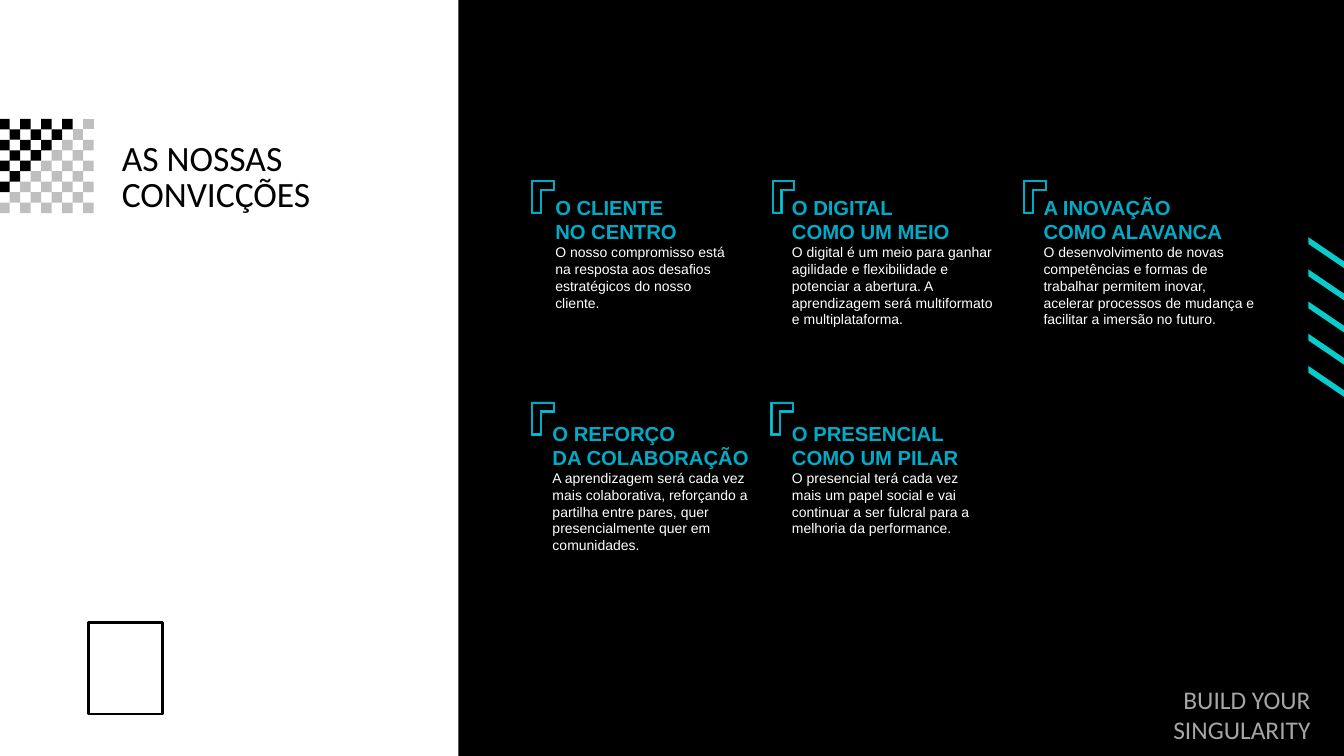
import pptx
import pptx.dml.color
import pptx.enum.shapes
import pptx.enum.text
import pptx.util

Pt = pptx.util.Pt
align = pptx.enum.text.PP_ALIGN

deck = pptx.Presentation()
deck.slide_width = Pt(1058.4)
deck.slide_height = Pt(595.44)
page = deck.slides.add_slide(deck.slide_layouts[6])


def paint(target, fill, line=None, weight=0.75):
    target.shadow.inherit = False
    target.fill.solid()
    target.fill.fore_color.rgb = pptx.dml.color.RGBColor.from_string(fill)
    if line:
        target.line.color.rgb = pptx.dml.color.RGBColor.from_string(line)
        target.line.width = Pt(weight)
    else:
        target.line.fill.background()


def write(left, top, width, height, lines):
    box = page.shapes.add_textbox(Pt(left), Pt(top), Pt(width), Pt(height))
    frame = box.text_frame
    frame.word_wrap = True
    frame.auto_size = pptx.enum.text.MSO_AUTO_SIZE.SHAPE_TO_FIT_TEXT
    for index, (text, style, layout) in enumerate(lines):
        para = frame.paragraphs[0] if index == 0 else frame.add_paragraph()
        for name, value in layout.items():
            setattr(para, name, value)
        span = para.add_run()
        span.text = text
        for name, value in style.items():
            if name == "color":
                span.font.color.rgb = pptx.dml.color.RGBColor.from_string(value)
            else:
                setattr(span.font, name, value)


panel = page.shapes.add_shape(
    pptx.enum.shapes.MSO_SHAPE.RECTANGLE, Pt(361), 0, Pt(697.4), Pt(595.44))
paint(panel, "000000")

outlines = []

cell = 8.25
checker_left, checker_top = -0.6, 93.6
checker_parts = {}
for row in range(9):
    for column in range(row % 2, 9, 2):
        left = checker_left + column * cell
        top = checker_top + row * cell
        square = [(left, top), (left + cell, top),
                  (left + cell, top + cell), (left, top + cell)]
        band = min(row, 3)
        if column < 2:
            band = 0 if row < 2 else 4
        fill = "000000" if row + column <= 6 else "BFBFBF"
        checker_parts.setdefault((band, fill), []).append(square)
for (band, fill), squares in checker_parts.items():
    outlines.append((squares, fill, None))

stripes = []
for index in range(5):
    top = 186.8 + index * 25.35
    stripes.append([(1030.3, top), (1030.3, top + 5.3),
                    (1098.6, top + 51.7), (1098.6, top + 46.4)])
outlines.append((stripes, "08CCCB", None))

bracket_outer = [(0, 0), (18, 0), (18, 8), (8, 8), (8, 26), (0, 26)]
bracket_inner = [(1, 1), (17, 1), (17, 7), (7, 7), (7, 25), (1, 25)]
for left, top in [(418.6, 142), (608, 142), (806, 142), (418.6, 316.6), (607, 316.6)]:
    bracket = [[(left + x, top + y) for x, y in contour]
               for contour in (bracket_outer, bracket_inner)]
    outlines.append((bracket, "08CCCB", "00ABC7"))

for contours, fill, line in outlines:
    first_x, first_y = contours[0][0]
    builder = page.shapes.build_freeform(Pt(first_x), Pt(first_y), 1)
    for contour in contours:
        points = [(Pt(x), Pt(y)) for x, y in contour]
        if contour is not contours[0]:
            builder.move_to(*points[0])
        builder.add_line_segments(points[1:], close=True)
    paint(builder.convert_to_shape(), fill, line)

emblem = page.shapes.add_shape(
    pptx.enum.shapes.MSO_SHAPE.RECTANGLE, Pt(69.8), Pt(490.3), Pt(58.3), Pt(72))
paint(emblem, "FFFFFF", "000000", 2)

title_style = {"size": Pt(28), "name": "Calibri", "color": "000000"}
footer_style = {"size": Pt(20), "name": "Calibri", "color": "A6A6A6"}
heading_style = {"size": Pt(16), "name": "Arial", "bold": True, "color": "00ABC7"}
body_style = {"size": Pt(11), "name": "Arial", "bold": False, "color": "FFFFFF"}

title_layout = {"line_spacing": Pt(28)}
write(88.8, 109.4, 255.6, 64.8, [
    ("AS NOSSAS", title_style, title_layout),
    ("CONVICÇÕES", title_style, title_layout)])
write(878.6, 535, 160.6, 31.7, [
    ("BUILD YOUR SINGULARITY", footer_style, {"alignment": align.RIGHT})])

convictions = [
    (430.2, 150.2, 156.2, 99.4, "O CLIENTE", "NO CENTRO",
     "O nosso compromisso está na resposta aos desafios estratégicos do nosso cliente."),
    (616.6, 150.2, 177.8, 113, "O DIGITAL", "COMO UM MEIO",
     "O digital é um meio para ganhar agilidade e flexibilidade e potenciar a abertura. "
     "A aprendizagem será multiformato e multiplataforma."),
    (814.7, 150.2, 182.9, 113, "A INOVAÇÃO", "COMO ALAVANCA",
     "O desenvolvimento de novas competências e formas de trabalhar permitem inovar, "
     "acelerar processos de mudança e facilitar a imersão no futuro."),
    (428, 327.9, 183.6, 113, "O REFORÇO", "DA COLABORAÇÃO",
     "A aprendizagem será cada vez mais colaborativa, reforçando a partilha entre pares, "
     "quer presencialmente quer em comunidades."),
    (616.6, 327.9, 167.8, 99.4, "O PRESENCIAL", "COMO UM PILAR",
     "O presencial terá cada vez mais um papel social e vai continuar a ser fulcral "
     "para a melhoria da performance."),
]
for left, top, width, height, subject, role, body in convictions:
    write(left, top, width, height, [
        (subject, heading_style, {}),
        (role, heading_style, {}),
        (body, body_style, {})])

deck.save("out.pptx")
